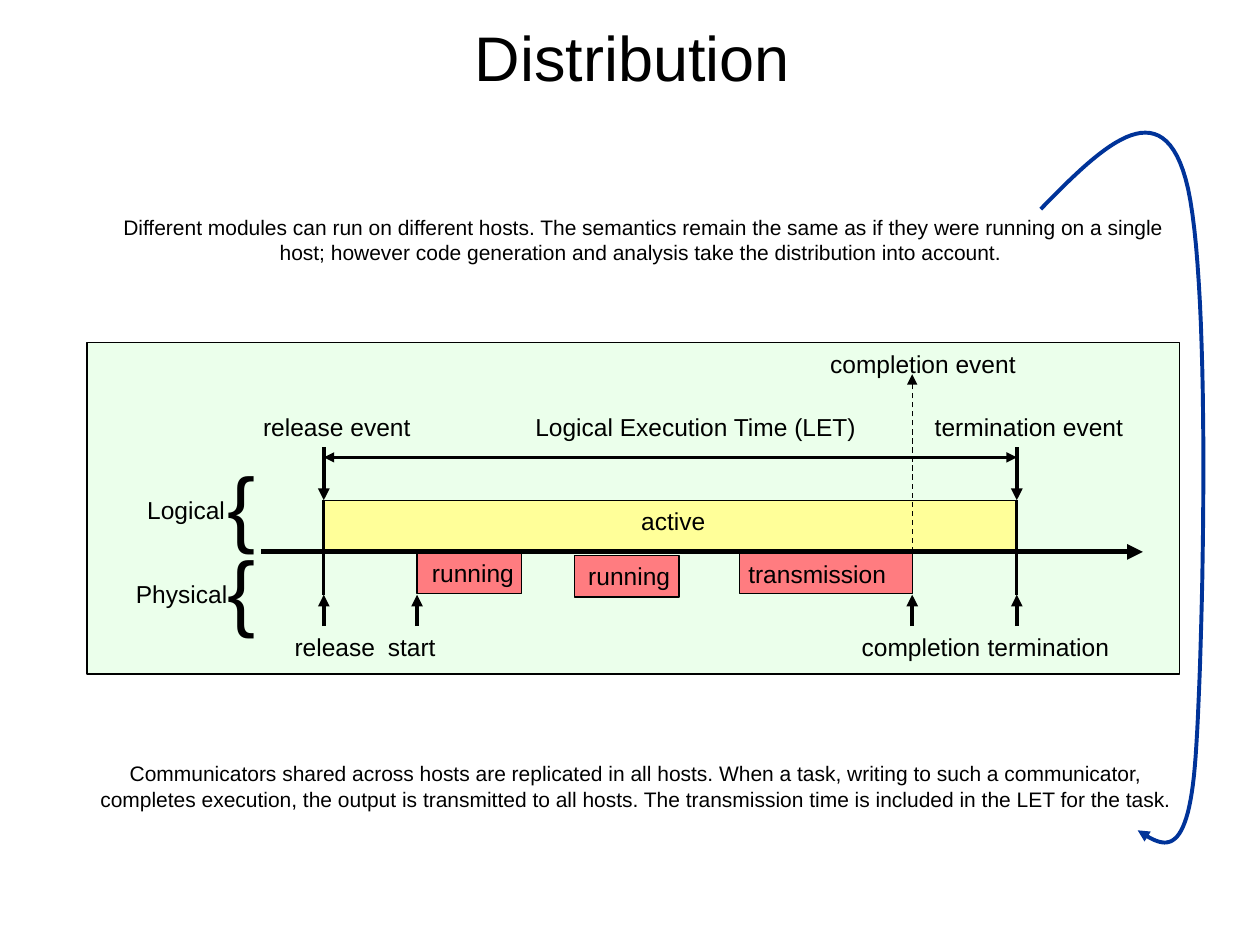
from pptx import Presentation
from pptx.dml.color import RGBColor
from pptx.enum.dml import MSO_LINE
from pptx.enum.shapes import MSO_CONNECTOR, MSO_SHAPE
from pptx.enum.text import MSO_ANCHOR, MSO_AUTO_SIZE, PP_ALIGN
from pptx.oxml.ns import qn
from pptx.util import Inches, Pt
from lxml.etree import SubElement

BLACK = RGBColor(0x00, 0x00, 0x00)
MINT = RGBColor(0xEB, 0xFF, 0xEB)
YELLOW = RGBColor(0xFF, 0xFF, 0x99)
RED = RGBColor(0xFF, 0x7C, 0x80)
BLUE = RGBColor(0x00, 0x33, 0x99)

RELEASE, START, DONE, END = 2.57, 3.31, 7.24, 8.07
TOP, AXIS, BASE = 3.97, 4.38, 4.72
SLACK = 0.1  # spare width that keeps each label on one line

prs = Presentation()
prs.slide_width, prs.slide_height = Inches(10), Inches(7.5)
slide = prs.slides.add_slide(prs.slide_layouts[6])
shapes = slide.shapes


def write(text, x, y, w, h=0.34, size=14, align=PP_ALIGN.LEFT,
          anchor=MSO_ANCHOR.TOP):
    box = shapes.add_textbox(Inches(x), Inches(y), Inches(w), Inches(h))
    frame = box.text_frame
    frame.word_wrap, frame.auto_size = True, MSO_AUTO_SIZE.NONE
    frame.vertical_anchor = anchor
    para = frame.paragraphs[0]
    para.alignment = align
    run = para.add_run()
    run.text = text
    run.font.name, run.font.size = "Arial", Pt(size)
    run.font.color.rgb = BLACK


def rule(x1, y1, x2, y2, width, ends=("tailEnd",), dash=None):
    """Draw a straight line with a triangle at each of the named ends."""
    line = shapes.add_connector(MSO_CONNECTOR.STRAIGHT, Inches(x1), Inches(y1),
                                Inches(x2), Inches(y2))
    line.line.color.rgb, line.line.width = BLACK, Pt(width)
    if dash:
        line.line.dash_style = dash
    for end in ends:
        SubElement(line.line._get_or_add_ln(), qn(f"a:{end}"), type="triangle")
    SubElement(line._element.spPr, qn("a:effectLst"))


# Panel and time bars
for x, y, w, h, fill in (
    (0.69, 2.72, 8.67, 2.63, MINT),
    (RELEASE, TOP, END - RELEASE, 0.42, YELLOW),
    (START, AXIS, 0.83, 0.33, RED),
    (5.87, AXIS, DONE - 5.87, 0.33, RED),
    (4.56, 4.41, 0.83, 0.33, RED),
):
    bar = shapes.add_shape(MSO_SHAPE.RECTANGLE, Inches(x), Inches(y),
                           Inches(w), Inches(h))
    bar.shadow.inherit = False
    bar.fill.solid()
    bar.fill.fore_color.rgb = fill
    bar.line.color.rgb, bar.line.width = BLACK, Pt(0.75)

# Events above the bars, moments below them
for x in (RELEASE, END):
    rule(x, 3.55, x, TOP, 2.25)
    rule(x, TOP, x, BASE, 1.5, ends=())
for x in (RELEASE, START, DONE, END):
    rule(x, 4.97, x, BASE, 2.25)
rule(RELEASE, 3.63, END, 3.63, 1.5, ends=("headEnd", "tailEnd"))
rule(DONE, AXIS, DONE, 2.97, 0.75, dash=MSO_LINE.DASH)
rule(2.07, AXIS, 9.07, AXIS, 3)

# Labels
for text, x, y, w in (
    ("active", 4.99, 3.97, 0.71),
    ("running", 3.33, 4.38, 0.85),
    ("running", 4.57, 4.40, 0.85),
    ("transmission", 5.84, 4.39, 1.29),
    ("release", 2.24, 4.97, 0.84),
    ("start", 2.98, 4.97, 0.58),
    ("completion", 6.74, 4.97, 1.14),
    ("termination", 7.74, 4.97, 1.16),
    ("release event", 1.99, 3.22, 1.37),
    ("Logical Execution Time (LET)", 4.15, 3.22, 2.76),
    ("termination event", 7.32, 3.22, 1.69),
    ("completion event", 6.49, 2.72, 1.67),
    ("Logical", 1.07, 3.88, 0.82),
    ("Physical", 0.98, 4.55, 0.92),
):
    write(text, x, y, w + SLACK)
for y in (3.55, 4.22):
    write("{", 1.71, y, 0.36, 0.9, size=48)

# Title and notes
write("Distribution", 0.52, 0, 9, 0.9, size=36, align=PP_ALIGN.CENTER,
      anchor=MSO_ANCHOR.MIDDLE)
for x, y, text in (
    (0.69, 1.65, "Different modules can run on different hosts. The semantics "
     "remain the same as if they were running on a single host; however code "
     "generation and analysis take the distribution into account. "),
    (0.63, 5.99, "Communicators shared across hosts are replicated in all "
     "hosts. When a task, writing to such a communicator, completes execution, "
     "the output is transmitted to all hosts. The transmission time is "
     "included in the LET for the task."),
):
    write(text, x, y, 8.84, 0.5, size=12, align=PP_ALIGN.CENTER)

# Curved arrow: three cubic Bezier arcs, each sampled in short steps
knots = [(8.26, 1.66), (8.73, 1.18), (9.21, 0.7), (9.41, 1.42), (9.62, 2.15),
         (9.55, 5.14), (9.49, 6), (9.43, 6.86), (9.23, 6.72), (9.03, 6.59)]
STEPS = 30
points = []
for i in range(0, len(knots) - 1, 3):
    for step in range(1, STEPS + 1):
        t = step / STEPS
        u = 1 - t
        mix = (u**3, 3 * u * u * t, 3 * u * t * t, t**3)
        points.append([Inches(sum(m * k[axis] for m, k in zip(mix, knots[i:i + 4])))
                       for axis in (0, 1)])
pen = shapes.build_freeform(Inches(knots[0][0]), Inches(knots[0][1]))
pen.add_line_segments(points, close=False)
curve = pen.convert_to_shape()
curve.shadow.inherit = False
curve.fill.background()
curve.line.color.rgb, curve.line.width = BLUE, Pt(2.25)
SubElement(curve.line._get_or_add_ln(), qn("a:tailEnd"), type="triangle")

prs.save("out.pptx")
